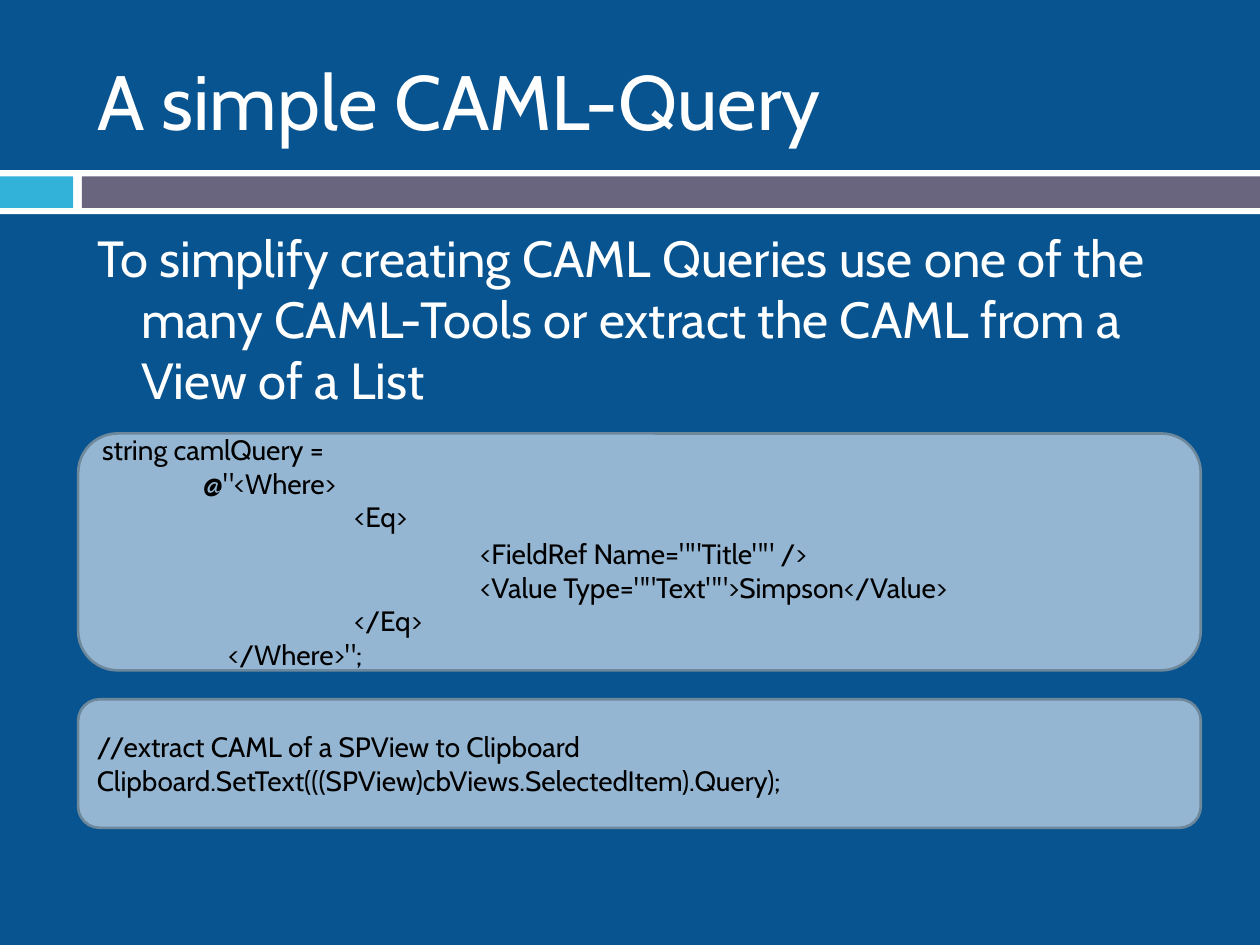
import pptx
import pptx.util
import pptx.dml.color
import pptx.enum.shapes
import pptx.enum.text
import pptx.oxml.ns
import lxml.etree

Inches = pptx.util.Inches
Pt = pptx.util.Pt
ALIGN = pptx.enum.text.PP_ALIGN
ANCHOR = pptx.enum.text.MSO_ANCHOR
FONT = "Cabin"

# Each line of code: text, left indent in inches, space before in points
QUERY = [
    ("string camlQuery =", 0, 0),
    ('@"<Where>', 0.8, 0),
    ("<Eq>", 2, 0),
    ('<FieldRef Name=""Title"" />', 3, 2),
    ('<Value Type=""Text"">Simpson</Value>', 3, 0),
    ("</Eq>", 2, 0),
    ('</Where>";', 1, 0),
]
CLIP = [
    ("//extract CAML of a SPView to Clipboard", 0, 0),
    ("Clipboard.SetText(((SPView)cbViews.SelectedItem).Query);", 0, 0),
]


def paint(part, color):
    """Give a fill, or the fill of a line, a solid colour."""
    part.solid()
    part.fore_color.rgb = pptx.dml.color.RGBColor.from_string(color)


def write(para, text, size, color, left=0, first=0, before=0):
    """Add one run to a paragraph and set its indents and spacing."""
    para.alignment = ALIGN.LEFT
    para.space_before = Pt(before)
    props = para._p.get_or_add_pPr()
    props.set("marL", str(Inches(left)))
    props.set("indent", str(Inches(first)))
    lxml.etree.SubElement(props, pptx.oxml.ns.qn("a:buNone"))
    run = para.add_run()
    run.text = text
    run.font.name = FONT
    run.font.size = Pt(size)
    paint(run.font.fill, color)


def place(holder, left, top, width, height, anchor):
    """Move a placeholder and return its first paragraph."""
    holder.left, holder.top = Inches(left), Inches(top)
    holder.width, holder.height = Inches(width), Inches(height)
    frame = holder.text_frame
    frame.word_wrap = True
    frame.auto_size = pptx.enum.text.MSO_AUTO_SIZE.NONE
    frame.vertical_anchor = anchor
    return frame.paragraphs[0]


def block(slide, kind, left, top, width, height, fill, line=None):
    """Add a filled shape, with an outline if a line colour is given."""
    shape = slide.shapes.add_shape(
        kind, Inches(left), Inches(top), Inches(width), Inches(height))
    shape.shadow.inherit = False
    paint(shape.fill, fill)
    if line:
        paint(shape.line.fill, line)
        shape.line.width = Pt(1.5)
    else:
        shape.line.fill.background()
    return shape


def band(slide):
    """Draw the white stripe with its two coloured bars."""
    rect = pptx.enum.shapes.MSO_SHAPE.RECTANGLE
    block(slide, rect, 0, 1.35, 10, 0.35, "FFFFFF")
    block(slide, rect, 0, 1.4, 0.58, 0.25, "32B2D9")
    block(slide, rect, 0.65, 1.4, 9.35, 0.25, "69657E")


def code(slide, top, height, lines):
    """Add a rounded box that holds lines of code."""
    box = block(slide, pptx.enum.shapes.MSO_SHAPE.ROUNDED_RECTANGLE,
                0.62, top, 8.91, height, "94B6D2", "6D879B")
    frame = box.text_frame
    frame.word_wrap = True
    frame.vertical_anchor = ANCHOR.MIDDLE
    for num, (text, left, before) in enumerate(lines):
        para = frame.add_paragraph() if num else frame.paragraphs[0]
        write(para, text, 16, "000000", left, before=before)


def main():
    """Build the slide and save it."""
    deck = pptx.Presentation()
    deck.slide_width, deck.slide_height = Inches(10), Inches(7.5)
    slide = deck.slides.add_slide(deck.slide_layouts[1])
    paint(slide.background.fill, "085490")
    band(slide)
    title = place(slide.shapes.title, 0.67, 0.25, 8.92, 1.08, ANCHOR.MIDDLE)
    write(title, "A simple CAML-Query", 44, "FFFFFF")
    body = place(slide.placeholders[1], 0.67, 1.75, 8.92, 4.92, ANCHOR.TOP)
    write(body, "To simplify creating CAML Queries use one of the many "
          "CAML-Tools or extract the CAML from a View of a List",
          29, "FFFFFF", 0.35, -0.35, 7)
    code(slide, 3.44, 1.88, QUERY)
    code(slide, 5.55, 1.02, CLIP)
    deck.save("out.pptx")


main()
